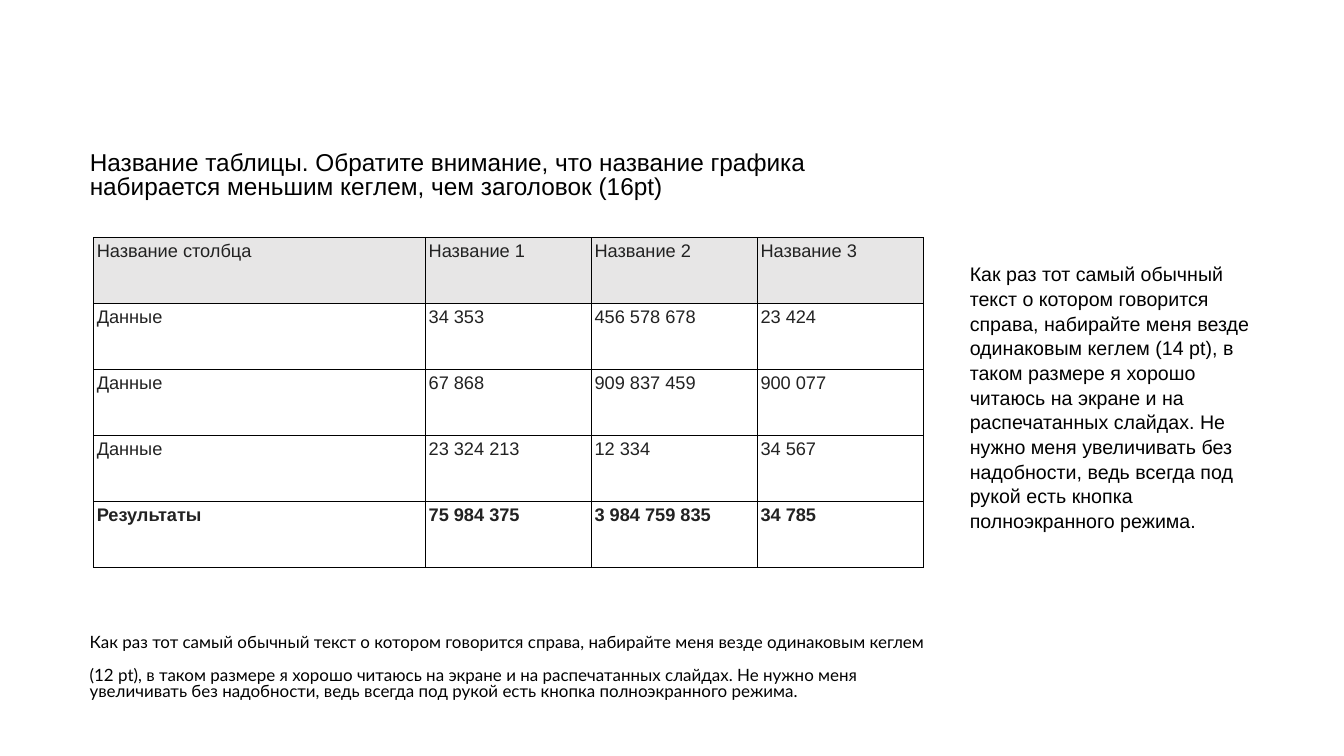
"""Build a slide with a captioned data table, a side text and a footnote."""
from lxml import etree
from pptx import Presentation
from pptx import util as u
from pptx.dml.color import RGBColor
from pptx.enum import text
from pptx.oxml.ns import qn

CAPTION = ["Название таблицы. Обратите внимание, что название графика",
           "набирается меньшим кеглем, чем заголовок (16pt)"]
ROWS = [
    ("Название столбца", "Название 1", "Название 2", "Название 3"),
    ("Данные", "34 353", "456 578 678", "23 424"),
    ("Данные", "67 868", "909 837 459", "900 077"),
    ("Данные", "23 324 213", "12 334", "34 567"),
    ("Результаты", "75 984 375", "3 984 759 835", "34 785"),
]
SIDE_TEXT = ["Как раз тот самый обычный текст о котором говорится справа, набирайте меня везде "
             "одинаковым кеглем (14 pt), в таком размере я хорошо читаюсь на экране и на "
             "распечатанных слайдах. Не нужно меня увеличивать без надобности, ведь всегда "
             "под рукой есть кнопка полноэкранного режима."]
FOOTNOTE = ["Как раз тот самый обычный текст о котором говорится справа, набирайте меня везде "
            "одинаковым кеглем",
            "(12 pt), в таком размере я хорошо читаюсь на экране и на распечатанных слайдах. "
            "Не нужно меня увеличивать без надобности, ведь всегда под рукой есть кнопка "
            "полноэкранного режима."]
BLACK, INK, HEADER_FILL = "000000", "222222", "E7E6E6"
LEFT, TEXT_WIDTH = 0.79, 8.49
TABLE_LEFT, TABLE_TOP, TABLE_WIDTH, ROW_HEIGHT = 0.93, 2.36, 8.23, 0.655
COLUMN_SHARES = (2, 1, 1, 1)
CELL_MARGIN = u.Inches(0.03)


def color(value):
    return RGBColor.from_string(value)


def write(frame, lines, size, ink=BLACK, font="Arial", bold=False, spacing=1.0, gap=0):
    for index, line in enumerate(lines):
        paragraph = frame.paragraphs[0] if index == 0 else frame.add_paragraph()
        paragraph.alignment = text.PP_ALIGN.LEFT
        paragraph.line_spacing = spacing
        paragraph.space_before = u.Pt(gap if index else 0)
        run = paragraph.add_run()
        run.text = line
        run.font.size, run.font.name, run.font.bold = u.Pt(size), font, bold
        run.font.color.rgb = color(ink)


def place(shape, left, top, width, height):
    shape.left, shape.top, shape.width, shape.height = map(u.Inches, (left, top, width, height))
    frame = shape.text_frame
    frame.word_wrap = True
    frame.auto_size = text.MSO_AUTO_SIZE.NONE
    frame.vertical_anchor = text.MSO_ANCHOR.TOP
    return frame


def outline(cell):
    properties = cell._tc.get_or_add_tcPr()
    for index, side in enumerate(("a:lnL", "a:lnR", "a:lnT", "a:lnB")):
        line = etree.Element(qn(side), w=str(u.Pt(1)))
        fill = etree.SubElement(line, qn("a:solidFill"))
        etree.SubElement(fill, qn("a:srgbClr"), val=BLACK)
        properties.insert(index, line)


def add_data_table(slide):
    table = slide.shapes.add_table(
        len(ROWS), len(COLUMN_SHARES), u.Inches(TABLE_LEFT), u.Inches(TABLE_TOP),
        u.Inches(TABLE_WIDTH), u.Inches(ROW_HEIGHT * len(ROWS))).table
    for column, share in zip(table.columns, COLUMN_SHARES):
        column.width = u.Inches(TABLE_WIDTH * share / sum(COLUMN_SHARES))
    for row, values in enumerate(ROWS):
        for column, value in enumerate(values):
            cell = table.cell(row, column)
            cell.margin_left = cell.margin_right = CELL_MARGIN
            cell.margin_top = cell.margin_bottom = CELL_MARGIN
            if row == 0:
                cell.fill.solid()
                cell.fill.fore_color.rgb = color(HEADER_FILL)
            else:
                cell.fill.background()
            outline(cell)
            write(cell.text_frame, [value], 13, INK, bold=row == len(ROWS) - 1)


def main():
    presentation = Presentation()
    presentation.slide_width, presentation.slide_height = u.Inches(13.33), u.Inches(7.5)
    slide = presentation.slides.add_slide(presentation.slide_layouts[5])
    caption = place(slide.shapes.title, LEFT, 1.47, TEXT_WIDTH, 0.63)
    write(caption, CAPTION, 17.4, spacing=0.8)
    footnote = place(slide.shapes.add_textbox(0, 0, 0, 0), LEFT, 6.26, TEXT_WIDTH, 0.6)
    write(footnote, FOOTNOTE, 12.1, font="Lato", spacing=0.8, gap=11.5)
    add_data_table(slide)
    side = place(slide.shapes.add_textbox(0, 0, 0, 0), 9.52, 2.54, 3.23, 2.96)
    write(side, SIDE_TEXT, 14, spacing=1.05)
    presentation.save("out.pptx")


if __name__ == "__main__":
    main()
